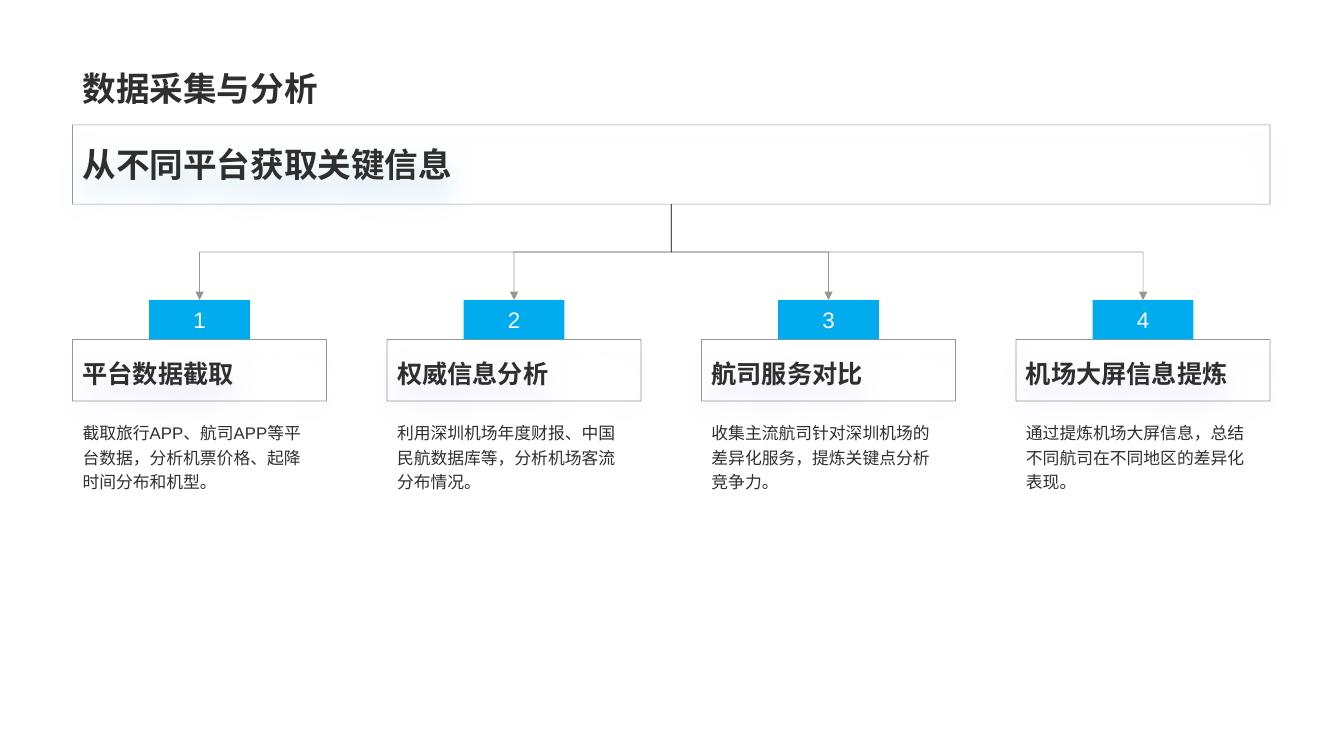
from dataclasses import dataclass

import lxml.etree
import pptx
import pptx.dml.color
import pptx.enum.shapes
import pptx.enum.text
import pptx.oxml
import pptx.oxml.ns
import pptx.util

Pt = pptx.util.Pt
SHAPE = pptx.enum.shapes.MSO_SHAPE
ANCHOR = pptx.enum.text.MSO_ANCHOR
ALIGN = pptx.enum.text.PP_ALIGN
DARK, WHITE, BLUE = "2F2F2F", "FFFFFF", "00ACEE"
LEFT, COLUMN_WIDTH, COLUMN_PITCH = 51.84, 181.44, 224.64
BANNER_TOP, BANNER_WIDTH, BANNER_HEIGHT = 89.2, 855.36, 56.6
TAG_TOP, TAG_WIDTH, TAG_HEIGHT = 214.3, 72, 28.2
HEADING_TOP, HEADING_HEIGHT = 242.5, 44


@dataclass
class Column:
    heading: str
    body: str


COLUMNS = [
    Column("平台数据截取", "截取旅行APP、航司APP等平台数据，分析机票价格、起降时间分布和机型。"),
    Column("权威信息分析", "利用深圳机场年度财报、中国民航数据库等，分析机场客流分布情况。"),
    Column("航司服务对比", "收集主流航司针对深圳机场的差异化服务，提炼关键点分析竞争力。"),
    Column("机场大屏信息提炼", "通过提炼机场大屏信息，总结不同航司在不同地区的差异化表现。"),
]


def rgb(value: str) -> pptx.dml.color.RGBColor:
    return pptx.dml.color.RGBColor.from_string(value)


def add_child(parent, tag: str, **attributes: str):
    child = lxml.etree.SubElement(parent, pptx.oxml.ns.qn(tag))
    for name, value in attributes.items():
        child.set(name, value)
    return child


def set_outline(line) -> None:
    line.color.rgb = rgb(DARK)
    line.width = Pt(0.5)
    color = line.fill._xPr.find(".//" + pptx.oxml.ns.qn("a:srgbClr"))
    add_child(color, "a:alpha", val="50000")


def set_text(sp, text: str, size: float, color: str = DARK, bold: bool = False,
             spacing: float = 1, anchor=ANCHOR.MIDDLE, align=ALIGN.LEFT, wrap: bool = True) -> None:
    tf = sp.text_frame
    tf.text = text
    tf.word_wrap = wrap
    tf.vertical_anchor = anchor
    p = tf.paragraphs[0]
    p.alignment = align
    p.line_spacing = spacing
    r = p.runs[0]
    r.font.name = "Arial"
    r.font.size = Pt(size)
    r.font.bold = bold
    r.font.color.rgb = rgb(color)


def add_frame(s, kind, x: float, y: float, w: float, h: float, shadow: str):
    sp = s.shapes.add_shape(kind, Pt(x), Pt(y), Pt(w), Pt(h))
    sp.fill.background()
    set_outline(sp.line)
    sp.shadow.inherit = False
    effects = sp._element.spPr.find(pptx.oxml.ns.qn("a:effectLst"))
    outer = add_child(effects, "a:outerShdw", blurRad=str(Pt(20)), dist=str(Pt(10)),
                      dir="5400000", algn="t", rotWithShape="0")
    add_child(add_child(outer, "a:srgbClr", val=shadow), "a:alpha", val="20000")
    return sp


def add_tag(s, x: float, text: str):
    sp = s.shapes.add_shape(SHAPE.RECTANGLE, Pt(x), Pt(TAG_TOP), Pt(TAG_WIDTH), Pt(TAG_HEIGHT))
    sp.fill.solid()
    sp.fill.fore_color.rgb = rgb(BLUE)
    sp.line.fill.background()
    sp.shadow.inherit = False
    set_text(sp, text, 16, WHITE, align=ALIGN.CENTER, wrap=False)
    return sp


def add_textbox(s, x: float, y: float, w: float, h: float):
    return s.shapes.add_textbox(Pt(x), Pt(y), Pt(w), Pt(h))


def add_branch(s, banner, tag) -> None:
    start_x = banner.left + banner.width // 2
    start_y = banner.top + banner.height
    end_x = tag.left + tag.width // 2
    drop, reach = tag.top - start_y, abs(end_x - start_x)
    cxn = s.shapes.add_connector(pptx.enum.shapes.MSO_CONNECTOR.ELBOW, start_x, start_y, end_x, tag.top)
    cxn.begin_connect(banner, 2)
    cxn.end_connect(tag, 0)
    cxn.left = (start_x + end_x - drop) // 2
    cxn.top = (start_y + tag.top - reach) // 2
    cxn.width, cxn.height = drop, reach
    rightward = end_x > start_x
    xfrm = cxn._element.spPr.find(pptx.oxml.ns.qn("a:xfrm"))
    xfrm.set("rot", "16200000" if rightward else "5400000")
    xfrm.set("flipH", "1" if rightward else "0")
    xfrm.set("flipV", "0")
    set_outline(cxn.line)
    add_child(cxn.line._get_or_add_ln(), "a:tailEnd", type="triangle")
    add_child(cxn._element.spPr, "a:effectLst")


def main() -> None:
    prs = pptx.Presentation()
    prs.slide_width, prs.slide_height = Pt(960), Pt(540)
    s = prs.slides.add_slide(prs.slide_layouts[6])

    banner = add_frame(s, SHAPE.ROUNDED_RECTANGLE, LEFT, BANNER_TOP, BANNER_WIDTH, BANNER_HEIGHT, "1582C8")
    banner.adjustments[0] = 0
    set_text(banner, "从不同平台获取关键信息", 24, bold=True)

    tags = []
    for i, column in enumerate(COLUMNS):
        x = LEFT + i * COLUMN_PITCH
        heading = add_frame(s, SHAPE.RECTANGLE, x, HEADING_TOP, COLUMN_WIDTH, HEADING_HEIGHT, "9787F5")
        set_text(heading, column.heading, 18, bold=True, spacing=1.2)
        body = add_textbox(s, x, 295.9, COLUMN_WIDTH, 187.2)
        set_text(body, column.body, 12, spacing=1.2, anchor=ANCHOR.TOP)
        tags.append(add_tag(s, x + (COLUMN_WIDTH - TAG_WIDTH) / 2, str(i + 1)))
    for tag in tags:
        add_branch(s, banner, tag)

    title = add_textbox(s, LEFT, 36.9, 210.2, 43.9)
    set_text(title, "数据采集与分析", 24, bold=True, anchor=ANCHOR.BOTTOM)
    prs.save("out.pptx")


if __name__ == "__main__":
    main()
